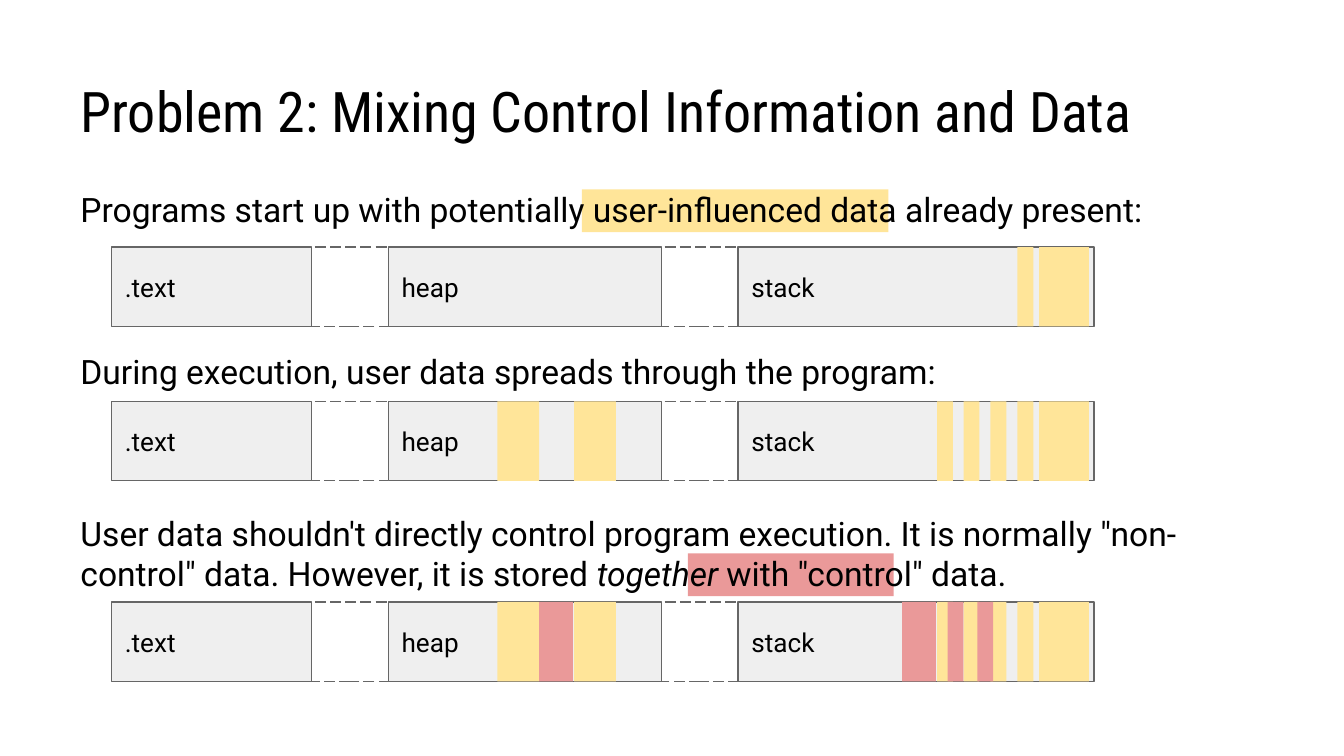
from pptx import Presentation
from pptx import util as u
from pptx.dml.color import RGBColor
from pptx.enum import dml, shapes, text
from pptx.oxml import xmlchemy

COLORS = {
    "ink": "000000",
    "memory": "EFEFEF",
    "border": "666666",
    "user": "FFE599",
    "control": "EA9999",
}

# Memory layout, left to right: label (None for unmapped gaps) and width in cm
SEGMENTS = [(".text", 3.78), (None, 1.45), ("heap", 5.16), (None, 1.45), ("stack", 6.73)]

# Marked data: colour, width and distances from the left end of the bar, in cm
STARTUP = [("user", 0.3, [17.12]), ("user", 0.94, [17.53])]
RUNNING = STARTUP + [("user", 0.3, [15.6, 16.1, 16.61]), ("user", 0.79, [7.29, 8.74])]
MIXED = RUNNING + [("control", 0.64, [8.08, 14.94]), ("control", 0.3, [15.8, 16.36])]


def rgb(name):
    return RGBColor.from_string(COLORS[name])


def place(shape, box):
    shape.left, shape.top, shape.width, shape.height = (u.Cm(value) for value in box)


def write(paragraph, words, size=18, font="Roboto", color="ink", italic=False):
    run = paragraph.add_run()
    run.text = words
    run.font.size = u.Pt(size)
    run.font.name = font
    run.font.italic = italic
    run.font.color.rgb = rgb(color)
    paragraph.alignment = text.PP_ALIGN.LEFT


def set_frame(frame, anchor):
    frame.word_wrap = True
    frame.auto_size = text.MSO_AUTO_SIZE.NONE
    frame.vertical_anchor = anchor
    frame.margin_left = frame.margin_right = u.Cm(0.25)
    frame.margin_top = frame.margin_bottom = u.Cm(0.25)


def add_box(slide, box, fill=None, border=False):
    shape = slide.shapes.add_shape(
        shapes.MSO_SHAPE.RECTANGLE, *(u.Cm(value) for value in box))
    shape.shadow.inherit = False
    if fill:
        shape.fill.solid()
        shape.fill.fore_color.rgb = rgb(fill)
    else:
        shape.fill.background()
    if border:
        shape.line.color.rgb = rgb("border")
        shape.line.width = u.Pt(0.75)
    else:
        shape.line.fill.background()
    return shape


def add_title(slide, box):
    title = slide.shapes.title
    place(title, box)
    set_frame(title.text_frame, text.MSO_ANCHOR.BOTTOM)
    write(title.text_frame.paragraphs[0],
          "Problem 2: Mixing Control Information and Data",
          size=30, font="Roboto Condensed")
    slide.shapes._spTree.append(title._element)


def add_body(slide, box):
    body = slide.placeholders[1]
    place(body, box)
    frame = body.text_frame
    set_frame(frame, text.MSO_ANCHOR.TOP)
    statements = [
        [("Programs start up with potentially user-influenced data already present:", False)],
        [("During execution, user data spreads through the program:", False)],
        [("User data shouldn't directly control program execution. "
          "It is normally \"non-control\" data. However, it is stored ", False),
         ("together", True),
         (" with \"control\" data.", False)],
    ]
    for index, statement in enumerate(statements):
        paragraph = frame.add_paragraph() if index else frame.paragraphs[0]
        for words, italic in statement:
            write(paragraph, words, italic=italic)
        # Leave room for a memory bar between statements
        paragraph.space_before = u.Pt(65 if index else 0)
        paragraph.space_after = u.Pt(0)
        paragraph.line_spacing = 1.0
        properties = paragraph._p.get_or_add_pPr()
        properties.set("marL", "0")
        properties.set("indent", "0")
        properties.append(xmlchemy.OxmlElement("a:buNone"))
    slide.shapes._spTree.append(body._element)


def add_memory_bar(slide, left, top, height, stripes):
    # Mapped segments and dashed gaps
    x = left
    for label, width in SEGMENTS:
        segment = add_box(slide, (x, top, width, height),
                          fill="memory" if label else None, border=True)
        if label:
            set_frame(segment.text_frame, text.MSO_ANCHOR.MIDDLE)
            write(segment.text_frame.paragraphs[0], label, size=14)
        else:
            segment.line.dash_style = dml.MSO_LINE.LONG_DASH
        x += width
    # User and control data
    for color, width, offsets in stripes:
        for offset in offsets:
            add_box(slide, (left + offset, top, width, height), fill=color)


def main():
    presentation = Presentation()
    presentation.slide_width = u.Cm(25.4)
    presentation.slide_height = u.Cm(14.29)
    slide = presentation.slides.add_slide(presentation.slide_layouts[1])

    # Highlights lie behind the text, so they come first
    add_box(slide, (13, 10.46, 3.89, 0.81), fill="control")
    add_box(slide, (11, 3.58, 5.79, 0.81), fill="user")

    add_body(slide, (1.27, 3.33, 22.86, 10.34))
    add_title(slide, (1.27, 0.58, 22.86, 2.39))

    # One memory bar below each statement
    for top, stripes in [(4.67, STARTUP), (7.59, RUNNING), (11.38, MIXED)]:
        add_memory_bar(slide, 2.11, top, 1.5, stripes)

    presentation.save("out.pptx")


if __name__ == "__main__":
    main()
